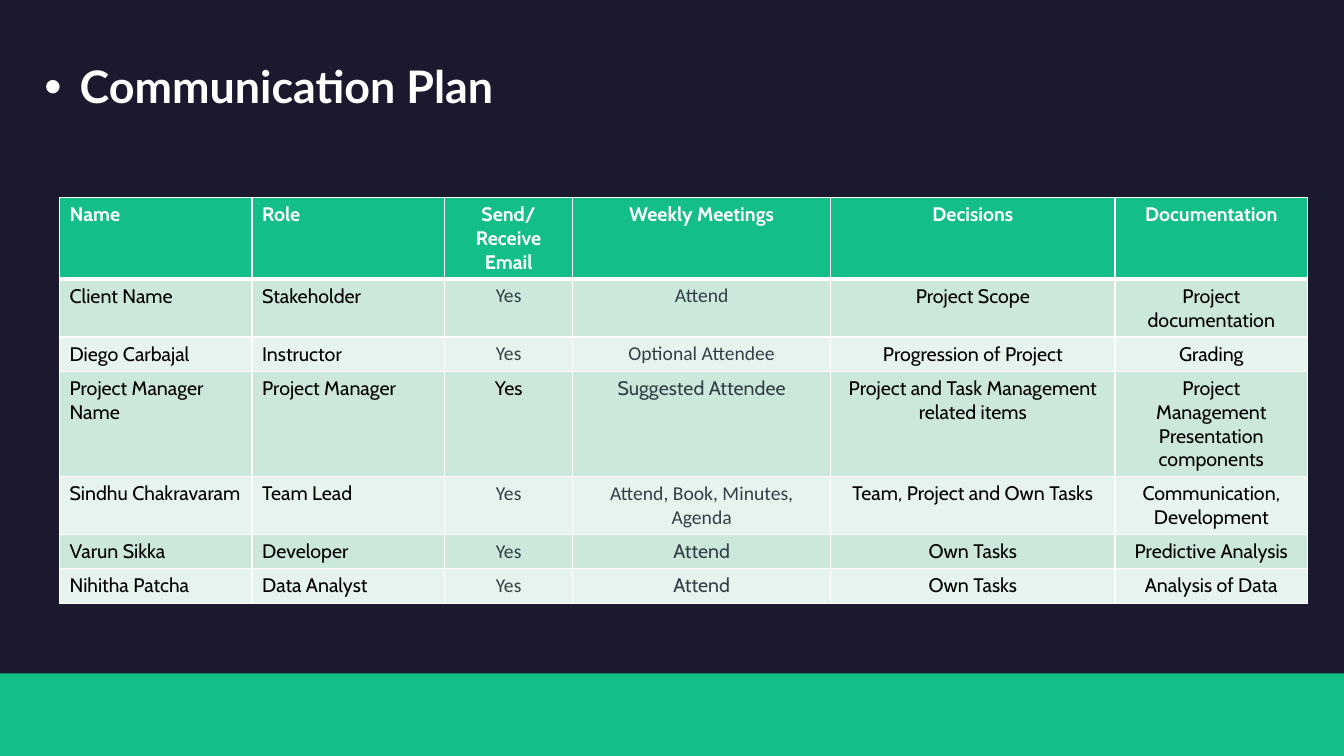
from lxml import etree
from pptx import Presentation
from pptx.dml.color import RGBColor
from pptx.enum.shapes import MSO_SHAPE
from pptx.enum.text import MSO_ANCHOR, PP_ALIGN
from pptx.oxml.ns import qn
from pptx.util import Pt

PX = 9144  # 100 px to the inch
RECT = MSO_SHAPE.RECTANGLE
TOP = MSO_ANCHOR.TOP
LEFT, CENTER = PP_ALIGN.LEFT, PP_ALIGN.CENTER

NAVY = RGBColor(0x1B, 0x19, 0x2E)
GREEN = RGBColor(0x13, 0xBE, 0x89)
MINT = RGBColor(0xCC, 0xE8, 0xDA)
PALE = RGBColor(0xE7, 0xF4, 0xED)
SLATE = RGBColor(0x33, 0x3F, 0x48)
BLACK = RGBColor(0, 0, 0)
WHITE = RGBColor(0xFF, 0xFF, 0xFF)

TITLE = "Communication Plan"
ROWS = [
    ("Name", "Role", "Send/Receive Email", "Weekly Meetings",
     "Decisions", "Documentation"),
    ("Client Name", "Stakeholder", "Yes", "Attend",
     "Project Scope", "Project documentation"),
    ("Diego Carbajal", "Instructor", "Yes", "Optional Attendee",
     "Progression of Project", "Grading"),
    ("Project Manager Name", "Project Manager", "Yes", "Suggested Attendee",
     "Project and Task Management related items",
     "Project Management Presentation components"),
    ("Sindhu Chakravaram", "Team Lead", "Yes", "Attend, Book, Minutes, Agenda",
     "Team, Project and Own Tasks", "Communication, Development"),
    ("Varun Sikka", "Developer", "Yes", "Attend",
     "Own Tasks", "Predictive Analysis"),
    ("Nihitha Patcha", "Data Analyst", "Yes", "Attend",
     "Own Tasks", "Analysis of Data"),
]
WIDTHS = [191, 191, 127, 256, 282, 191]
HEIGHTS = [81, 57, 34, 87, 57, 34, 34]
SLATE_COLS = (2, 3)
# (row, column) exceptions within the slate columns
BLACK_CELLS = {(3, 2)}
CABIN_CELLS = {(3, 2), (3, 3), (5, 3), (6, 3)}


def place(shape, x, y, w, h):
    shape.left, shape.top = x * PX, y * PX
    shape.width, shape.height = w * PX, h * PX


def style(run, font, size, color, bold):
    run.font.name, run.font.size = font, Pt(size)
    run.font.color.rgb, run.font.bold = color, bold


def border(cell, side, width):
    line = etree.SubElement(cell._tc.get_or_add_tcPr(), qn("a:" + side),
                            w=str(Pt(width)))
    fill = etree.SubElement(line, qn("a:solidFill"))
    etree.SubElement(fill, qn("a:srgbClr"), val=str(WHITE))


def look(row, col):
    """Return font, text colour and fill of a table cell."""
    if row == 0:
        return "Cabin", WHITE, GREEN
    slate = col in SLATE_COLS
    font = "Calibri" if slate and (row, col) not in CABIN_CELLS else "Cabin"
    color = SLATE if slate and (row, col) not in BLACK_CELLS else BLACK
    return font, color, MINT if row % 2 else PALE


def add_band(slide):
    band = slide.shapes.add_shape(RECT, 0, 668 * PX, 1333 * PX, 82 * PX)
    band.shadow.inherit = False
    band.fill.solid()
    band.fill.fore_color.rgb = GREEN
    band.line.fill.background()


def set_title(slide):
    title = slide.shapes.title
    place(title, 44, 64, 1199, 63)
    frame = title.text_frame
    frame.text = TITLE
    frame.vertical_anchor = TOP
    frame.margin_left = frame.margin_right = 0
    frame.margin_top = frame.margin_bottom = 0
    para = frame.paragraphs[0]
    para.alignment, para.line_spacing = LEFT, 0.9
    style(para.runs[0], "Lato", 32, WHITE, True)
    props = para._p.get_or_add_pPr()
    props.set("marL", str(35 * PX))
    props.set("indent", str(-35 * PX))
    etree.SubElement(props, qn("a:buSzPct"), val="110000")
    etree.SubElement(props, qn("a:buFont"), typeface="Arial")
    etree.SubElement(props, qn("a:buChar"), char="•")


def add_plan(slide):
    table = slide.shapes.add_table(
        len(ROWS), len(WIDTHS), 59 * PX, 196 * PX,
        sum(WIDTHS) * PX, sum(HEIGHTS) * PX).table
    for col, width in zip(table.columns, WIDTHS):
        col.width = width * PX
    for row, height in zip(table.rows, HEIGHTS):
        row.height = height * PX
    for r, texts in enumerate(ROWS):
        for c, text in enumerate(texts):
            cell = table.cell(r, c)
            font, color, fill = look(r, c)
            for side in ("lnL", "lnR", "lnT", "lnB"):
                thick = (r, side) in ((0, "lnB"), (1, "lnT"))
                border(cell, side, 3 if thick else 1)
            cell.fill.solid()
            cell.fill.fore_color.rgb = fill
            cell.text_frame.text = text
            para = cell.text_frame.paragraphs[0]
            para.alignment = LEFT if c < 2 else CENTER
            style(para.runs[0], font, 14, color, r == 0)


def main():
    deck = Presentation()
    deck.slide_width, deck.slide_height = 1333 * PX, 750 * PX
    slide = deck.slides.add_slide(deck.slide_layouts[5])
    slide.background.fill.solid()
    slide.background.fill.fore_color.rgb = NAVY
    add_band(slide)
    set_title(slide)
    add_plan(slide)
    deck.save("out.pptx")


if __name__ == "__main__":
    main()
